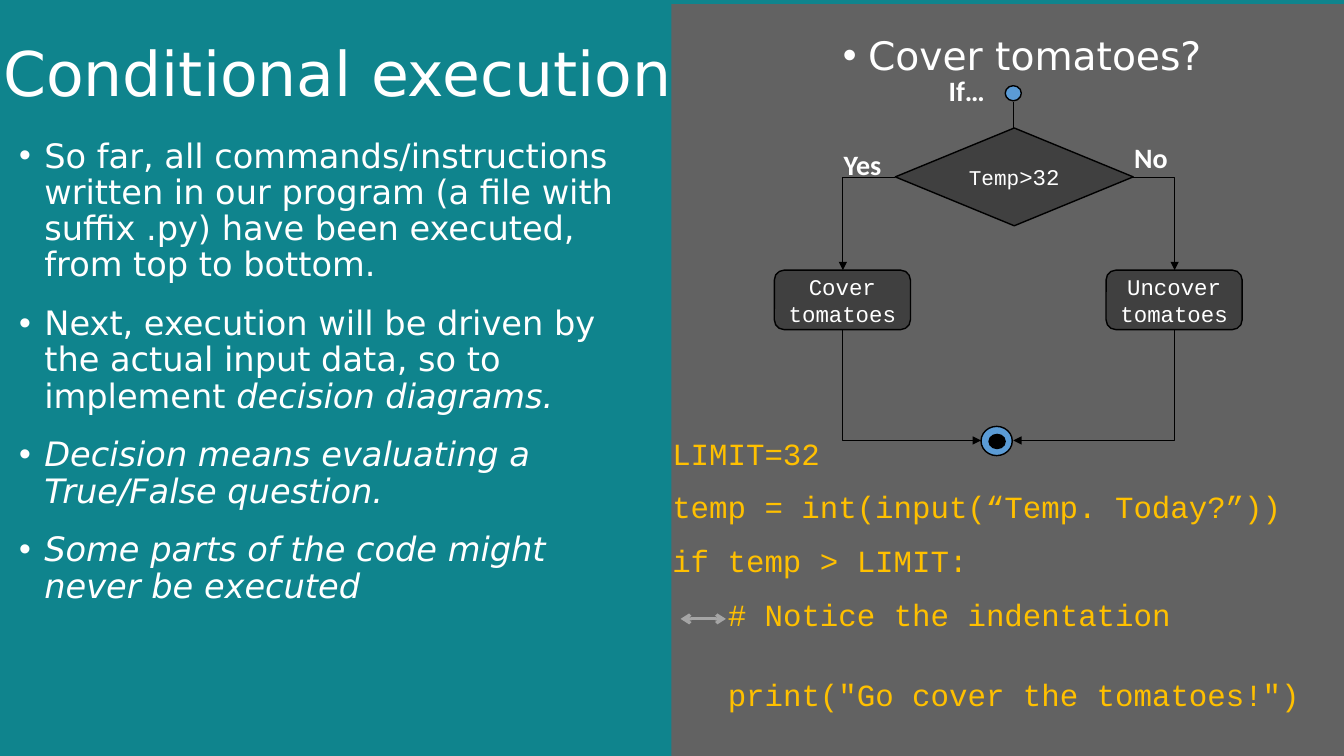
import lxml.etree
import pptx
import pptx.dml.color
import pptx.enum.shapes
import pptx.enum.text
import pptx.oxml.ns
import pptx.util

RGBColor = pptx.dml.color.RGBColor
TEAL = RGBColor(0x0F, 0x84, 0x8D)
PANEL_GREY = RGBColor(0x62, 0x62, 0x62)
NODE_GREY = RGBColor(0x40, 0x40, 0x40)
ARROW_GREY = RGBColor(0xA5, 0xA5, 0xA5)
BLUE = RGBColor(0x5B, 0x9B, 0xD5)
AMBER = RGBColor(0xFF, 0xC0, 0x00)
WHITE = RGBColor(0xFF, 0xFF, 0xFF)
BLACK = RGBColor(0x00, 0x00, 0x00)

Shape = pptx.enum.shapes.MSO_SHAPE
Line = pptx.enum.shapes.MSO_CONNECTOR
Align = pptx.enum.text.PP_ALIGN
Anchor = pptx.enum.text.MSO_ANCHOR
AutoSize = pptx.enum.text.MSO_AUTO_SIZE
qn = pptx.oxml.ns.qn

SANS, MONO, LABEL = "DejaVu Sans", "Courier New", "Calibri"
PX = 9144  # one px is a hundredth of an inch

LESSON = [
    [("So far, all commands/instructions written in our program (a file with "
      "suffix .py) have been executed, from top to bottom.", False)],
    [("Next, execution will be driven by the actual input data, so to implement ", False),
     ("decision diagrams.", True)],
    [("Decision means evaluating a True/False question.", True)],
    [("Some parts of the code might never be executed", True)],
]
# Code line, indent in px, space before in points
CODE = [
    ("LIMIT=32", 0, 6),
    ("temp = int(input(“Temp. Today?”))", 0, 6),
    ("if temp > LIMIT:", 0, 6),
    ("# Notice the indentation", 55, 6),
    ('print("Go cover the tomatoes!")', 55, 25),
]


def px(*lengths):
    return [round(length * PX) for length in lengths]


def set_font(para, name, size, color, bold=False):
    para.font.name = name
    para.font.size = pptx.util.Pt(size)
    para.font.color.rgb = color
    para.font.bold = bold


def set_spacing(para, before, after, line=1.0):
    para.space_before = pptx.util.Pt(before)
    para.space_after = pptx.util.Pt(after)
    para.line_spacing = line


def set_indent(para, left, first=0):
    properties = para._p.get_or_add_pPr()
    properties.set("marL", str(left * PX))
    properties.set("indent", str(first * PX))


def place_holder(holder, box, anchor):
    holder.left, holder.top, holder.width, holder.height = px(*box)
    frame = holder.text_frame
    frame.word_wrap = True
    frame.auto_size = AutoSize.NONE
    frame.vertical_anchor = anchor
    return frame


def add_node(page, kind, box, fill, line=BLACK):
    node = page.shapes.add_shape(kind, *px(*box))
    node.shadow.inherit = False
    node.fill.solid()
    node.fill.fore_color.rgb = fill
    if line is None:
        node.line.fill.background()
    else:
        node.line.color.rgb = line
        node.line.width = pptx.util.Pt(1)
    return node


def add_node_text(node, *spans):
    frame = node.text_frame
    frame.word_wrap = True
    frame.vertical_anchor = Anchor.MIDDLE
    para = frame.paragraphs[0]
    para.alignment = Align.CENTER
    set_font(para, MONO, 16, WHITE)
    for text, size in spans:
        span = para.add_run()
        span.text = text
        span.font.size = pptx.util.Pt(size)


def add_line(page, start, end, color, width, heads, bent=False):
    """heads maps headEnd / tailEnd to an arrowhead type."""
    kind = Line.ELBOW if bent else Line.STRAIGHT
    line = page.shapes.add_connector(kind, *px(*start, *end))
    line.line.color.rgb = color
    line.line.width = pptx.util.Pt(width)
    properties = line._element.spPr
    if bent:  # one corner: across first, then up or down
        properties.find(qn("a:prstGeom")).set("prst", "bentConnector2")
    outline = properties.find(qn("a:ln"))
    for end_name in ("headEnd", "tailEnd"):
        if end_name in heads:
            lxml.etree.SubElement(outline, qn("a:" + end_name), type=heads[end_name])
    lxml.etree.SubElement(properties, qn("a:effectLst"))


def fill_title(page, box):
    para = place_holder(page.shapes.title, box, Anchor.MIDDLE).paragraphs[0]
    para.text = "Conditional execution"
    para.alignment = Align.LEFT
    set_font(para, SANS, 44, WHITE)
    set_spacing(para, 0, 0, 0.9)


def fill_list(holder, box, items, size, after):
    frame = place_holder(holder, box, Anchor.TOP)
    for index, item in enumerate(items):
        para = frame.add_paragraph() if index else frame.paragraphs[0]
        set_font(para, SANS, size, WHITE)
        set_spacing(para, 10, after, 0.9)
        set_indent(para, 25, -25)
        for text, italic in item:
            span = para.add_run()
            span.text = text
            span.font.italic = italic


def add_panel(page, box):
    panel = add_node(page, Shape.RECTANGLE, box, PANEL_GREY, line=None)
    page.shapes._spTree.insert(2, panel._element)  # behind the placeholders


def add_code(page, box):
    left, top, width, height = box
    frame = page.shapes.add_textbox(*px(*box)).text_frame
    frame.word_wrap = True
    for index, (text, indent, before) in enumerate(CODE):
        para = frame.add_paragraph() if index else frame.paragraphs[0]
        para.text = text
        set_font(para, MONO, 22, AMBER)
        set_spacing(para, before, 6)
        set_indent(para, indent)
    # Arrow that marks the indentation
    add_line(page, (left + 18, top + 188), (left + 63, top + 188), ARROW_GREY, 2.25,
             {"headEnd": "arrow", "tailEnd": "arrow"})


def add_label(page, text, box):
    frame = page.shapes.add_textbox(*px(*box)).text_frame
    frame.word_wrap = False
    frame.paragraphs[0].text = text
    set_font(frame.paragraphs[0], LABEL, 20, WHITE, bold=True)


def add_flowchart(page, box):
    left, top, width, height = box
    # Start and decision
    add_node(page, Shape.OVAL, (left + 229, top, 16, 15), BLUE)
    add_line(page, (left + 237, top + 16), (left + 237, top + 59), BLACK, 0.5,
             {"tailEnd": "triangle"})
    decision = add_node(page, Shape.DIAMOND, (left + 120, top + 42, 236, 97), NODE_GREY)
    add_node_text(decision, ("Temp", 15), (">32", 16))
    # End
    add_node(page, Shape.OVAL, (left + 205, top + 338, 31, 29), BLUE)
    add_node(page, Shape.OVAL, (left + 213, top + 346, 16, 14), BLACK)
    # Both branches: box left, decision corner, end side
    branches = [("Cover tomatoes", left, left + 120, left + 205),
                ("Uncover tomatoes", left + width - 135, left + 356, left + 237)]
    for text, box_left, corner, end_side in branches:
        action = add_node(page, Shape.ROUNDED_RECTANGLE,
                          (box_left, top + 183, 135, 59), NODE_GREY)
        add_node_text(action, (text, 16))
        middle = box_left + 68
        add_line(page, (corner, top + 91), (middle, top + 183), BLACK, 0.5,
                 {"tailEnd": "triangle"}, bent=True)
        add_line(page, (end_side, top + 352), (middle, top + 242), BLACK, 0.5,
                 {"headEnd": "triangle"}, bent=True)
    add_label(page, "If…", (left + 163, top - 17, 56, 43))
    add_label(page, "Yes", (left + 59, top + 56, 57, 43))
    add_label(page, "No", (left + 347, top + 49, 53, 43))


def main():
    deck = pptx.Presentation()
    deck.slide_width, deck.slide_height = px(1333, 750)
    page = deck.slides.add_slide(deck.slide_layouts.get_by_name("Two Content"))
    page.background.fill.solid()
    page.background.fill.fore_color.rgb = TEAL
    lesson, question = list(page.placeholders)[1:]

    add_panel(page, (666, 4, 667, 746))
    fill_title(page, (-7, 4, 1149, 144))
    fill_list(lesson, (9, 133, 640, 595), LESSON, 24, 6)
    fill_list(question, (826, 31, 489, 431), [[("Cover tomatoes?", False)]], 28, 0)
    add_code(page, (657, 426, 653, 286))
    add_flowchart(page, (768, 85, 464, 367))
    deck.save("out.pptx")


if __name__ == "__main__":
    main()
